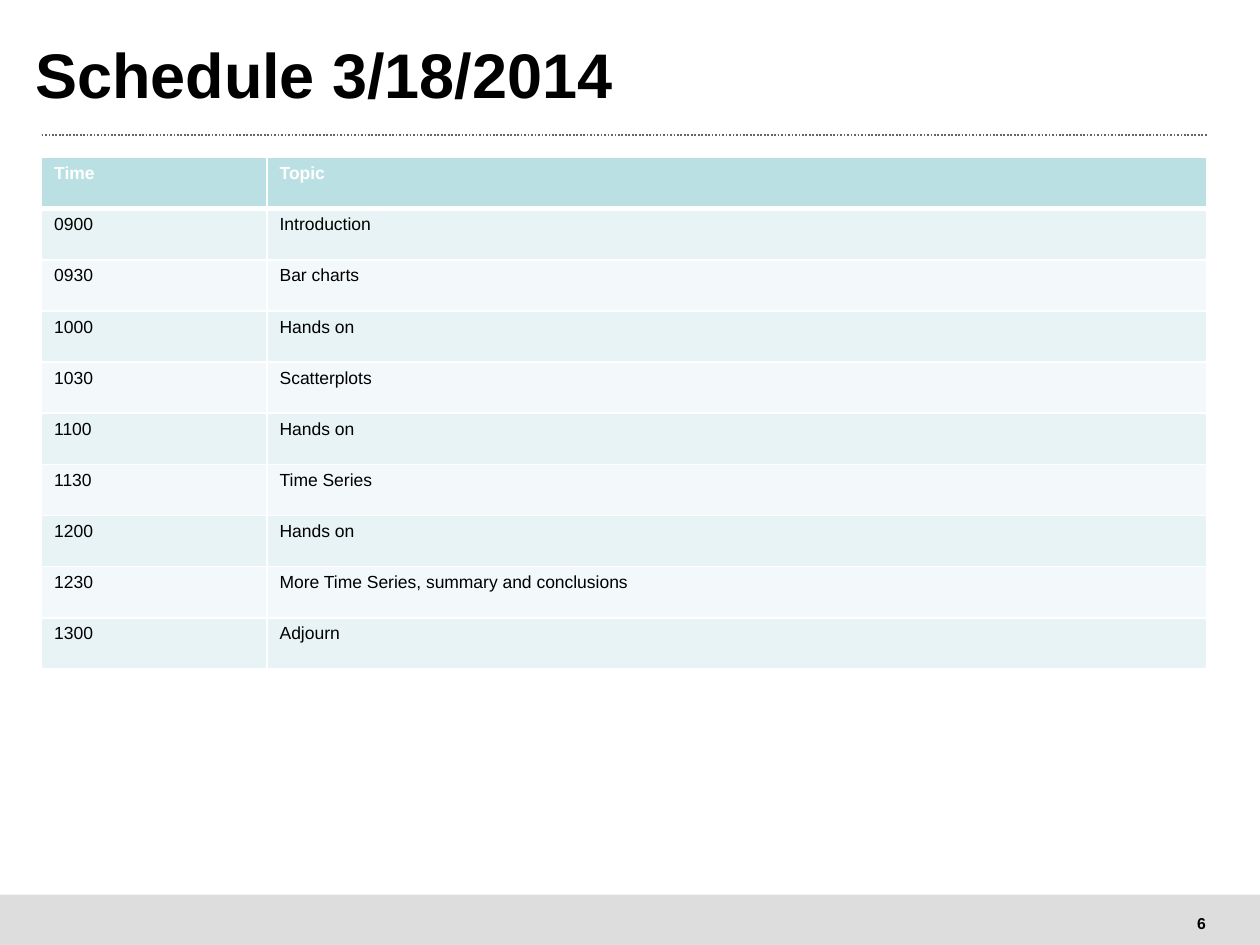
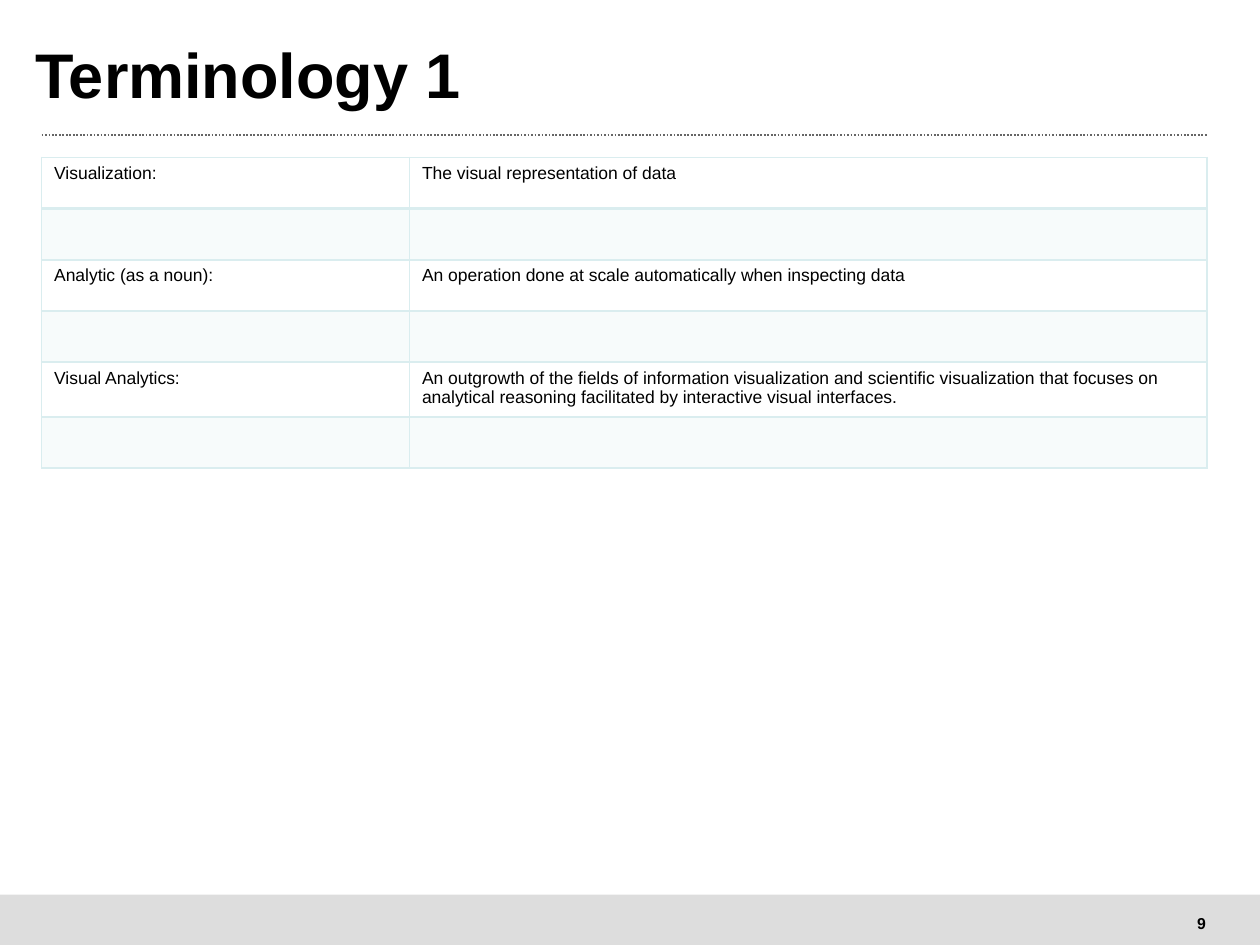
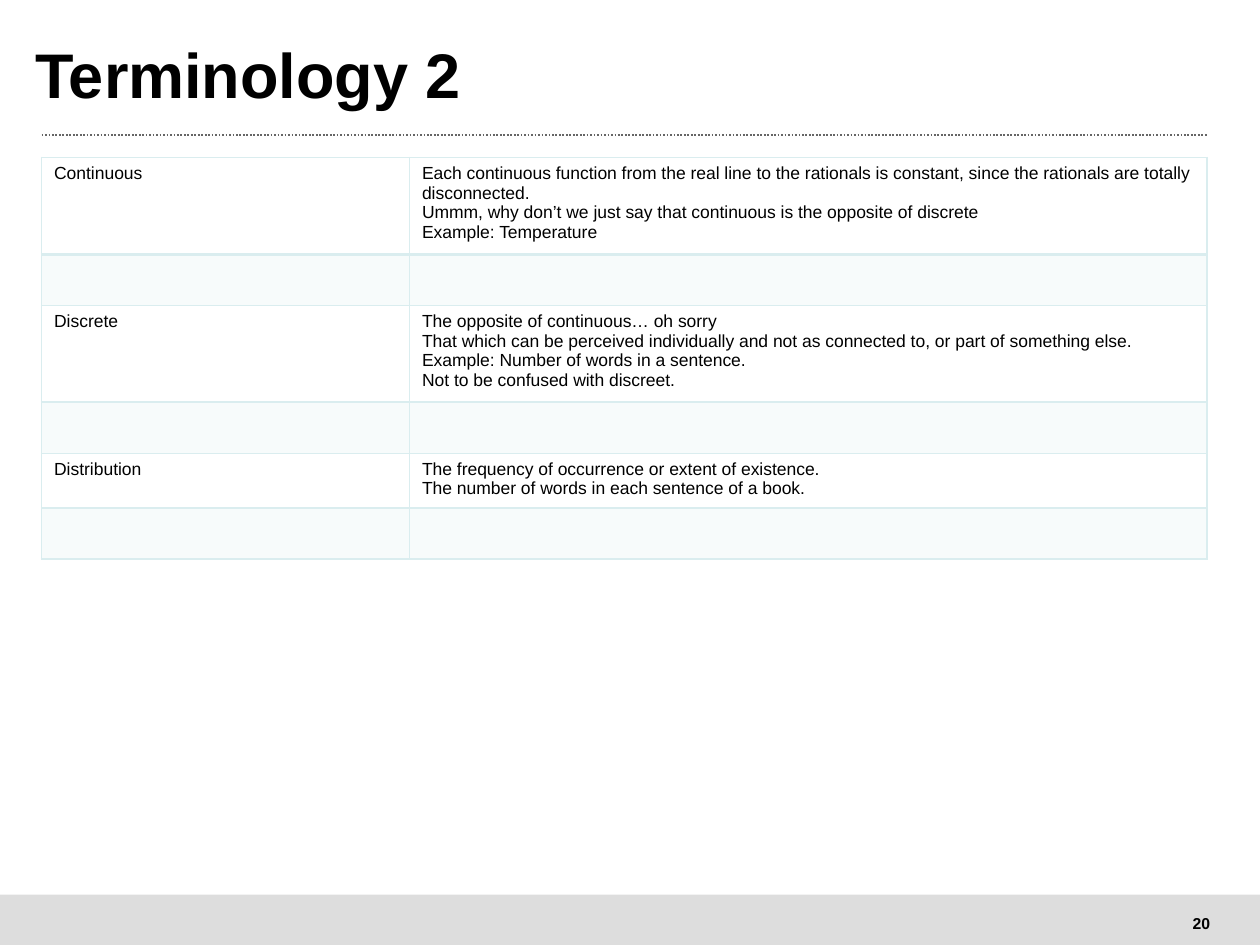
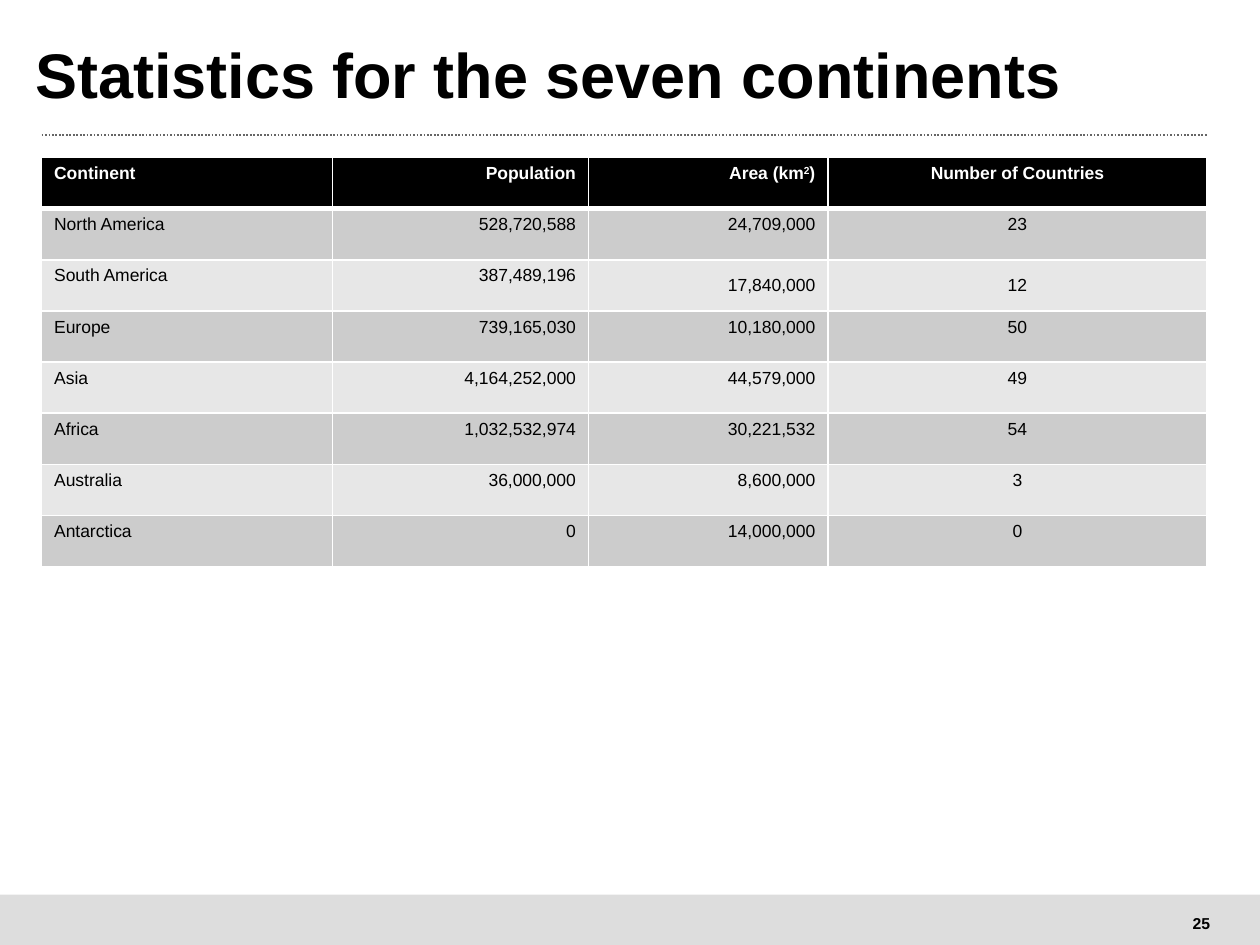
import pptx
import pptx.util
import pptx.dml.color
import pptx.enum.dml
import pptx.enum.shapes
import pptx.enum.text
import pptx.oxml.ns
import lxml.etree

Inches, Pt = pptx.util.Inches, pptx.util.Pt
ALIGN = pptx.enum.text.PP_ALIGN
MIDDLE = pptx.enum.text.MSO_ANCHOR.MIDDLE
FONT = "Arial"
LEFT, WIDTH, TABLE_TOP = 0.33, 9.25, 1.25
ROW_HEIGHT = Inches(4.06) // 10
BAND_HEIGHT = 0.4


def rgb(hex_color):
    return pptx.dml.color.RGBColor.from_string(hex_color)


def add_xml(parent, tag, **attributes):
    child = lxml.etree.SubElement(parent, pptx.oxml.ns.qn(tag))
    for name, value in attributes.items():
        child.set(name, str(value))
    return child


# Table looks: header fill, row fills in turn, border colour, rule under the first row
teal = dict(header="BBE0E3", header_font="FFFFFF", bands=["E7F3F4", "F3F9FA"],
            border="FFFFFF", rule=3, alpha=None)
gray = dict(teal, header="000000", bands=["CCCCCC", "E7E7E7"])
light = dict(header=None, header_font="000000", bands=["DAEDEF", None],
             border="DAEDEF", rule=2, alpha=20000)

schedule = [
    ["Time", "Topic"],
    ["0900", "Introduction"],
    ["0930", "Bar charts"],
    ["1000", "Hands on"],
    ["1030", "Scatterplots"],
    ["1100", "Hands on"],
    ["1130", "Time Series"],
    ["1200", "Hands on"],
    ["1230", "More Time Series, summary and conclusions"],
    ["1300", "Adjourn"],
]
terms_1 = [
    ["Visualization:", "The visual representation of data"],
    ["", ""],
    ["Analytic (as a noun):",
     "An operation done at scale automatically when inspecting data"],
    ["", ""],
    ["Visual Analytics:",
     "An outgrowth of the fields of information visualization and scientific "
     "visualization that focuses on analytical reasoning facilitated by "
     "interactive visual interfaces."],
    ["", ""],
]
terms_2 = [
    ["Continuous",
     "Each continuous function from the real line to the rationals is constant, "
     "since the rationals are totally disconnected.\n"
     "Ummm, why don’t we just say that continuous is the opposite of discrete\n"
     "Example: Temperature"],
    ["", ""],
    ["Discrete",
     "The opposite of continuous… oh sorry\n"
     "That which can be perceived individually and not as connected to, "
     "or part of something else.\n"
     "Example: Number of words in a sentence.\n"
     "Not to be confused with discreet."],
    ["", ""],
    ["Distribution",
     "The frequency of occurrence or extent of existence.\n"
     "The number of words in each sentence of a book."],
    ["", ""],
]
# Text between carets is superscript
continents = [
    ["Continent", "Population", "Area (km^2^)", "Number of Countries"],
    ["North America", "528,720,588", "24,709,000", "23"],
    ["South America", "387,489,196", "17,840,000", "12"],
    ["Europe", "739,165,030", "10,180,000", "50"],
    ["Asia", "4,164,252,000", "44,579,000", "49"],
    ["Africa", "1,032,532,974", "30,221,532", "54"],
    ["Australia", "36,000,000", "8,600,000", "3"],
    ["Antarctica", "0", "14,000,000", "0"],
]
text_columns = [ALIGN.LEFT, ALIGN.LEFT]
number_columns = [ALIGN.LEFT, ALIGN.RIGHT, ALIGN.RIGHT, ALIGN.CENTER]

# Title, page number, rows, column widths, column alignment, look
slides = [
    ("Schedule 3/18/2014", 6, schedule, [1.79, 7.46], text_columns, teal),
    ("Terminology 1", 9, terms_1, [2.92, 6.33], text_columns, light),
    ("Terminology 2", 20, terms_2, [2.92, 6.33], text_columns, light),
    ("Statistics for the seven continents", 25, continents,
     [2.31, 2.03, 1.9, 3.01], number_columns, gray),
]

prs = pptx.Presentation()
prs.slide_width, prs.slide_height = Inches(10), Inches(7.5)

for title, number, rows, widths, aligns, look in slides:
    s = prs.slides.add_slide(prs.slide_layouts[6])

    # Footer band
    band = s.shapes.add_shape(
        pptx.enum.shapes.MSO_SHAPE.RECTANGLE, 0, prs.slide_height - Inches(BAND_HEIGHT),
        prs.slide_width, Inches(BAND_HEIGHT))
    band.shadow.inherit = False
    band.fill.solid()
    band.fill.fore_color.rgb = rgb("DDDDDD")
    band.line.fill.background()

    # Page number
    sp = s.shapes.add_textbox(Inches(9.36), Inches(7.2), Inches(0.35), Inches(0.25))
    tf = sp.text_frame
    tf.text = str(number)
    tf.word_wrap = False
    tf.auto_size = pptx.enum.text.MSO_AUTO_SIZE.SHAPE_TO_FIT_TEXT
    tf.paragraphs[0].alignment = ALIGN.CENTER
    number_run = tf.paragraphs[0].runs[0]
    tf.vertical_anchor = MIDDLE

    # Dotted line under the title
    line = s.shapes.add_connector(
        pptx.enum.shapes.MSO_CONNECTOR.STRAIGHT,
        Inches(LEFT), Inches(1.07), Inches(LEFT + WIDTH), Inches(1.07))
    line.line.color.rgb = rgb("666666")
    line.line.width = Pt(1)
    line.line.dash_style = pptx.enum.dml.MSO_LINE.ROUND_DOT
    add_xml(line._element.spPr, "a:effectLst")

    # Title
    sp = s.shapes.add_textbox(Inches(0.28), Inches(0.25), Inches(9.27), Inches(0.78))
    tf = sp.text_frame
    tf.text = title
    tf.word_wrap = True
    tf.vertical_anchor = MIDDLE
    tf.margin_left = tf.margin_right = tf.margin_top = tf.margin_bottom = 0
    tf.paragraphs[0].line_spacing = 0.8
    title_run = tf.paragraphs[0].runs[0]

    for r, size in [(number_run, 9), (title_run, 36)]:
        r.font.name, r.font.size, r.font.bold = FONT, Pt(size), True
        r.font.color.rgb = rgb("000000")

    # Table
    table = s.shapes.add_table(
        len(rows), len(widths), Inches(LEFT), Inches(TABLE_TOP),
        Inches(WIDTH), ROW_HEIGHT * len(rows)).table
    table.first_row = table.horz_banding = False
    for column, width in zip(table.columns, widths):
        column.width = Inches(width)

    for i, row in enumerate(rows):
        table.rows[i].height = ROW_HEIGHT
        fill = look["bands"][(i - 1) % 2] if i else look["header"]
        font_color = "000000" if i else look["header_font"]
        for j, text in enumerate(row):
            cell = table.cell(i, j)

            # Borders come before the fill in the cell properties
            tcPr = cell._tc.get_or_add_tcPr()
            top = look["rule"] if i == 1 else 1
            bottom = look["rule"] if i == 0 else 1
            for side, points in [("L", 1), ("R", 1), ("T", top), ("B", bottom)]:
                ln = add_xml(tcPr, "a:ln" + side, w=Pt(points))
                add_xml(add_xml(ln, "a:solidFill"), "a:srgbClr", val=look["border"])
            if fill:
                cell.fill.solid()
                cell.fill.fore_color.rgb = rgb(fill)
                if look["alpha"]:
                    color = tcPr.find(pptx.oxml.ns.qn("a:solidFill"))[0]
                    add_xml(color, "a:alpha", val=look["alpha"])
            else:
                cell.fill.background()

            tf = cell.text_frame
            for n, paragraph_text in enumerate(text.split("\n") if text else []):
                p = tf.add_paragraph() if n else tf.paragraphs[0]
                p.alignment = aligns[j]
                for k, part in enumerate(paragraph_text.split("^")):
                    r = p.add_run()
                    r.text = part
                    r.font.name, r.font.size = FONT, Pt(10)
                    r.font.bold = i == 0 and look["header"] is not None
                    r.font.color.rgb = rgb(font_color)
                    if k % 2:
                        r._r.get_or_add_rPr().set("baseline", "30000")

# South America's area and country count sit mid-row on the last slide
for j in (2, 3):
    table.cell(2, j).vertical_anchor = MIDDLE

prs.save("out.pptx")
